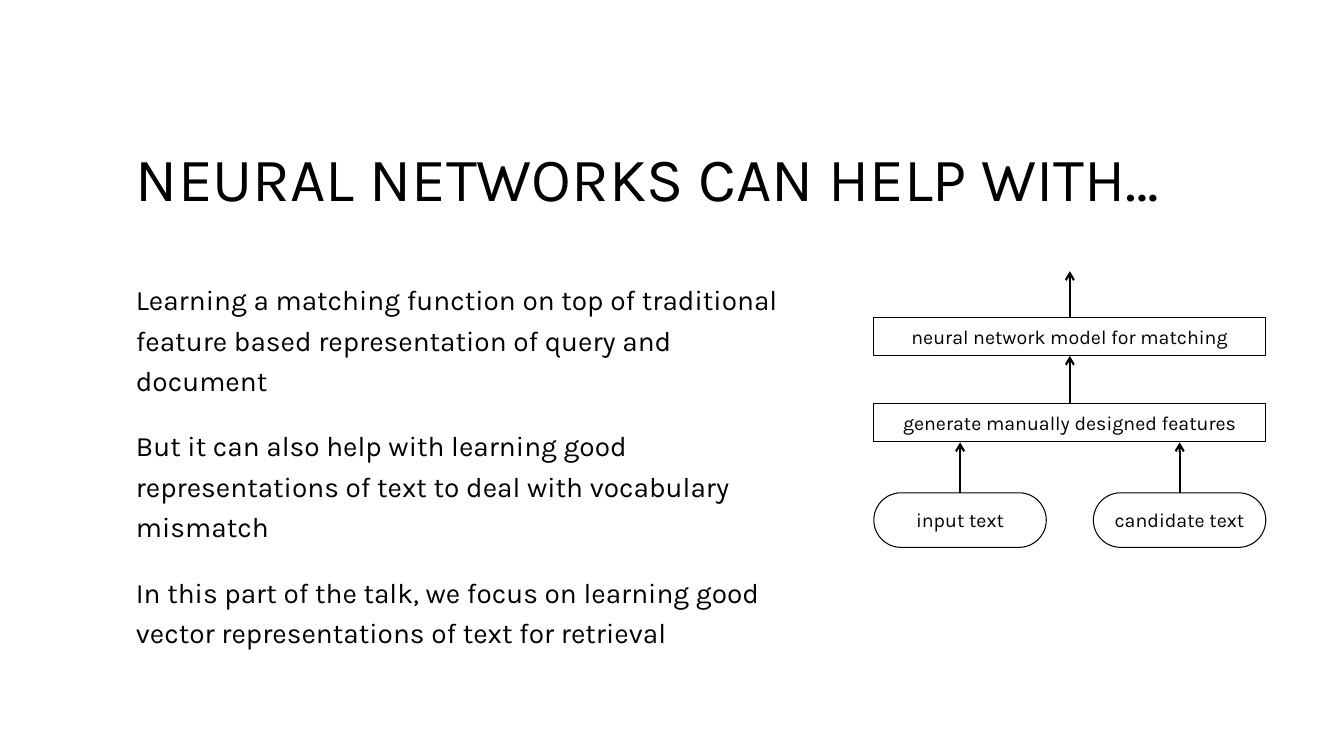
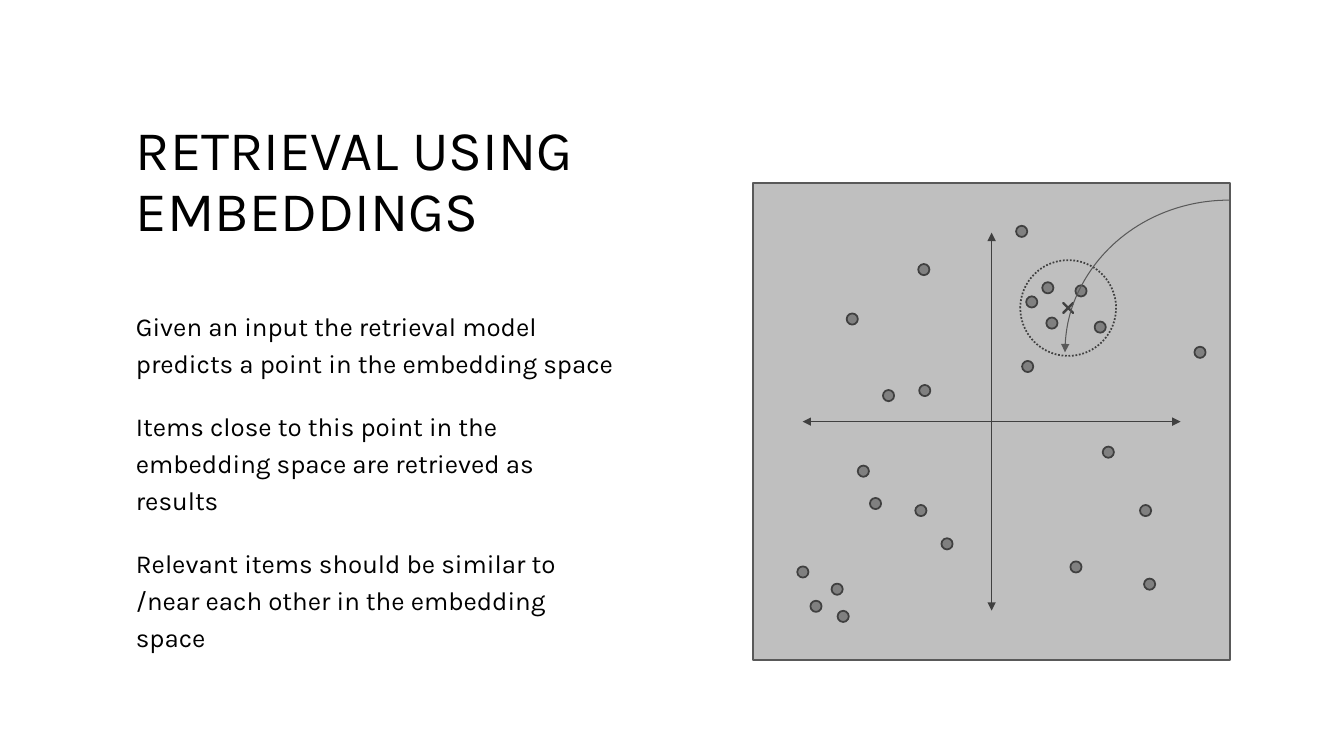
from lxml import etree
from pptx import Presentation
from pptx import util as u
from pptx.dml import color
from pptx.enum import dml, shapes, text
from pptx.oxml import ns

Pt = u.Pt
FONT = "Karla"
BLACK, DARK, EDGE, DOT, PANEL = "000000", "404040", "595959", "808080", "BFBFBF"
LEFT = 90  # left edge of titles and body text

# Dot centres in the embedding space
DOTS = [
    (737, 215.7), (751.4, 230.8), (772.2, 207.8), (785.9, 233.7),
    (748.5, 205.6), (734.1, 261.8), (857.2, 251.7), (791.7, 323),
    (657.8, 364.7), (616.7, 336.6), (608.8, 227.9), (660.6, 279),
    (634.7, 282.6), (625.4, 359.7), (573.5, 408.6), (598, 420.9),
    (768.6, 405), (818.3, 364.7), (582.9, 433.1), (602.3, 440.3),
    (676.5, 388.5), (729.8, 165.3), (659.9, 192.6), (821.2, 417.3),
]


def rgb(value):
    return color.RGBColor.from_string(value)


def style_font(p, size):
    for r in p.runs:
        r.font.name = FONT
        r.font.size = Pt(size)
        r.font.color.rgb = rgb(BLACK)


def add_text(s, box, lines, size, spacing, gap=0, anchor=text.MSO_ANCHOR.TOP):
    sp = s.shapes.add_textbox(*map(Pt, box))
    tf = sp.text_frame
    tf.word_wrap = True
    tf.vertical_anchor = anchor
    tf.text = "\n".join(lines)
    for i, p in enumerate(tf.paragraphs):
        p.line_spacing = spacing
        p.space_before = Pt(gap if i else 0)
        style_font(p, size)


def add_title(s, top, width, title, size):
    add_text(s, (LEFT, top, width, 129), [title], size, 0.9,
             anchor=text.MSO_ANCHOR.BOTTOM)


def add_body(s, top, width, height, lines, size):
    add_text(s, (LEFT, top, width, height), lines, size, 1.2, gap=18)


def set_line(line, value, width, **ends):
    """Style a line; ends maps headEnd / tailEnd to an arrowhead type."""
    line.color.rgb = rgb(value)
    line.width = Pt(width)
    ln = line._get_or_add_ln()
    for end in sorted(ends):
        etree.SubElement(ln, ns.qn(f"a:{end}"), type=ends[end])


def add_shape(s, kind, box, line, width, fill=None, **ends):
    sp = s.shapes.add_shape(kind, *map(Pt, box))
    sp.shadow.inherit = False
    if fill:
        sp.fill.solid()
        sp.fill.fore_color.rgb = rgb(fill)
    else:
        sp.fill.background()
    set_line(sp.line, line, width, **ends)
    return sp


def add_centred(s, kind, centre, size, fill=None):
    x, y = centre
    return add_shape(s, kind, (x - size / 2, y - size / 2, size, size),
                     DARK, 1.25, fill)


def add_label_box(s, kind, box, label):
    sp = add_shape(s, kind, box, BLACK, 0.75)
    tf = sp.text_frame
    tf.word_wrap = True
    tf.vertical_anchor = text.MSO_ANCHOR.MIDDLE
    tf.text = label
    p = tf.paragraphs[0]
    p.alignment = text.PP_ALIGN.CENTER
    style_font(p, 14)
    return sp


def add_line(s, start, end, value, width, **ends):
    c = s.shapes.add_connector(shapes.MSO_CONNECTOR.STRAIGHT,
                               *map(Pt, (*start, *end)))
    set_line(c.line, value, width, **ends)
    etree.SubElement(c._element.spPr, ns.qn("a:effectLst"))
    return c


def add_up_arrow(s, box, y_end, target=None):
    """Arrow from the top of a box up to y_end, or to the bottom of target."""
    x = (box.left + box.width / 2) / Pt(1)
    c = add_line(s, (x, box.top / Pt(1)), (x, y_end), BLACK, 1.5,
                 tailEnd="arrow")
    c.begin_connect(box, 0)
    if target:
        c.end_connect(target, 2)


def add_matching_diagram(s):
    left, width, pill_width = 624.2, 280, 123.2
    layer_height, net_top, features_top, pill_top = 27.4, 226.8, 288, 352
    rect = shapes.MSO_SHAPE.RECTANGLE

    # Network layers
    net = add_label_box(s, rect, (left, net_top, width, layer_height),
                        "neural network model for matching")
    features = add_label_box(s, rect, (left, features_top, width, layer_height),
                             "generate manually designed features")
    add_up_arrow(s, net, 193.7)
    add_up_arrow(s, features, net_top + layer_height, net)

    # Inputs
    for x, label in ((left, "input text"),
                     (left + width - pill_width, "candidate text")):
        pill = add_label_box(s, shapes.MSO_SHAPE.ROUNDED_RECTANGLE,
                             (x, pill_top, pill_width, 39), label)
        pill.adjustments[0] = 0.5
        add_up_arrow(s, pill, features_top + layer_height + 0.6)


def add_embedding_space(s):
    x, y, side, reach = 708.3, 301.2, 340.6, 135
    kind = shapes.MSO_SHAPE

    # Panel and axes
    add_shape(s, kind.RECTANGLE, (x - side / 2, y - side / 2, side, side),
              EDGE, 1.25, PANEL)
    for dx, dy in ((0, reach), (reach, 0)):
        add_line(s, (x - dx, y - dy), (x + dx, y + dy), DARK, 0.75,
                 headEnd="triangle", tailEnd="triangle")

    # Items
    for centre in DOTS:
        add_centred(s, kind.OVAL, centre, 8, DOT)

    # Predicted point, its neighbourhood and the arrow to it
    query = (763, 220)
    cross = add_centred(s, kind.MATH_MULTIPLY, query, 13.7, DARK)
    cross.adjustments[0] = 0.032
    circle = add_centred(s, kind.OVAL, query, 68.4)
    circle.line.dash_style = dml.MSO_LINE.ROUND_DOT
    arc = add_shape(s, kind.ARC, (769, 134.6, 217.4, 234), EDGE, 0.75,
                    headEnd="triangle")
    arc.rotation = 270


def main():
    prs = Presentation()
    prs.slide_width, prs.slide_height = Pt(960), Pt(540)
    blank = prs.slide_layouts[6]

    # Slide 1: where neural networks help
    s = prs.slides.add_slide(blank)
    add_title(s, 28, 796, "NEURAL NETWORKS CAN HELP WITH…", 44)
    add_body(s, 193.7, 492.5, 327, [
        "Learning a matching function on top of traditional feature based "
        "representation of query and document",
        "But it can also help with learning good representations of text "
        "to deal with vocabulary mismatch",
        "In this part of the talk, we focus on learning good vector "
        "representations of text for retrieval",
    ], 20)
    add_matching_diagram(s)

    # Slide 2: embedding space
    s = prs.slides.add_slide(blank)
    add_title(s, 48.2, 360, "RETRIEVAL USING EMBEDDINGS", 40)
    add_body(s, 213.8, 360, 258, [
        "Given an input the retrieval model predicts a point in the "
        "embedding space",
        "Items close to this point in the embedding space are retrieved "
        "as results",
        "Relevant items should be similar to /near each other in the "
        "embedding space",
    ], 18.5)
    add_embedding_space(s)

    prs.save("out.pptx")


if __name__ == "__main__":
    main()
